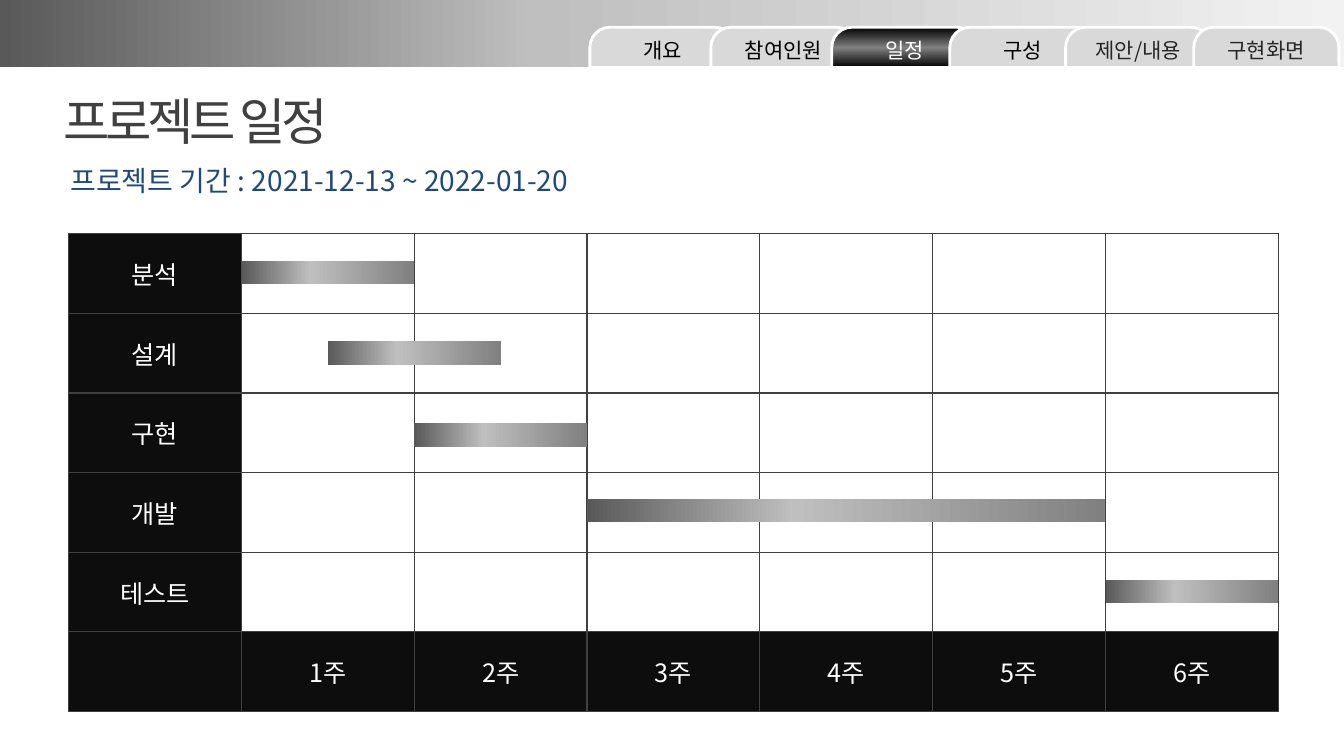
from pptx import Presentation, util as u
from pptx.dml.color import RGBColor
from pptx.enum import shapes, text
from pptx.oxml import parse_xml
from pptx.oxml.ns import nsdecls

COLORS = {
    "white": "FFFFFF", "black": "000000", "cell": "0D0D0D", "ink": "262626",
    "title": "404040", "border": "404040", "period": "1F497D", "tab": "D9D9D9",
    "dark": "595959", "silver": "BFBFBF", "pale": "F2F2F2", "gray": "808080",
}
FONT = "Noto Sans CJK KR"
WIDTH, HEIGHT = u.Inches(13.33), u.Inches(7.5)

# Gradients as (position in percent, colour)
BANNER_STOPS = [(0, "dark"), (40, "silver"), (100, "pale")]
BAR_STOPS = [(0, "dark"), (40, "silver"), (100, "gray")]
ACTIVE_STOPS = [(0, "black"), (51, "gray"), (100, "black")]

# Schedule grid, in percent of the slide
LEFT, TOP, GRID_WIDTH, GRID_HEIGHT = 5.1, 30.93, 90.02, 63.2
TASKS = ["분석", "설계", "구현", "개발", "테스트"]
WEEKS = [f"{week}주" for week in range(1, 7)]
COLUMN = GRID_WIDTH / (len(WEEKS) + 1)
ROW = GRID_HEIGHT / (len(TASKS) + 1)


class ScheduleSlide:
    """Holds the style and the slide; lengths are percent of its size."""

    def __init__(self, presentation):
        self.slide = presentation.slides.add_slide(presentation.slide_layouts[6])
        self.shapes = self.slide.shapes

    def box(self, left, top, width, height):
        return (int(WIDTH * left / 100), int(HEIGHT * top / 100),
                int(WIDTH * width / 100), int(HEIGHT * height / 100))

    def color(self, name):
        return RGBColor.from_string(COLORS[name])

    def add_words(self, frame, words, size, color, align=None, spacing=None):
        frame.vertical_anchor = text.MSO_ANCHOR.MIDDLE
        paragraph = frame.paragraphs[0]
        paragraph.alignment = align
        run = paragraph.add_run()
        run.text = words
        run.font.size = u.Pt(size)
        run.font.color.rgb = self.color(color)
        run.font.name = FONT
        properties = run._r.get_or_add_rPr()
        properties.append(parse_xml(f'<a:ea {nsdecls("a")} typeface="{FONT}"/>'))
        if spacing:
            properties.set("spc", str(spacing * 100))

    def text_box(self, box, words, size, color, wrap=True, spacing=None):
        frame = self.shapes.add_textbox(*self.box(*box)).text_frame
        frame.word_wrap = wrap
        self.add_words(frame, words, size, color, spacing=spacing)

    def paint(self, shape, fill, angle=0):
        """Fill with a colour name or with a list of gradient stops."""
        if isinstance(fill, str):
            shape.fill.solid()
            shape.fill.fore_color.rgb = self.color(fill)
            return
        shape.fill.gradient()
        stops = "".join(
            f'<a:gs pos="{position * 1000}"><a:srgbClr val="{COLORS[name]}"/></a:gs>'
            for position, name in fill)
        gradient = parse_xml(
            f'<a:gradFill {nsdecls("a")} rotWithShape="1"><a:gsLst>{stops}</a:gsLst>'
            f'<a:lin ang="{angle * 60000}" scaled="0"/></a:gradFill>')
        properties = shape._element.spPr
        properties.replace(properties.gradFill, gradient)

    def band(self, box, stops):
        shape = self.shapes.add_shape(shapes.MSO_SHAPE.RECTANGLE, *self.box(*box))
        shape.shadow.inherit = False
        shape.line.fill.background()
        self.paint(shape, stops)

    def tab(self, left, words, color, fill):
        shape = self.shapes.add_shape(
            shapes.MSO_SHAPE.ROUND_2_SAME_RECTANGLE, *self.box(left, 3.6, 10.8, 5.33))
        shape.adjustments[0] = 0.5
        shape.shadow.inherit = False
        shape.line.color.rgb = self.color("white")
        shape.line.width = u.Pt(2)
        self.paint(shape, fill, angle=90)
        shape.text_frame.word_wrap = False
        self.add_words(shape.text_frame, words, 15, color, text.PP_ALIGN.CENTER)

    def border(self, cell):
        properties = cell._tc.get_or_add_tcPr()
        for index, side in enumerate(("lnL", "lnR", "lnT", "lnB")):
            properties.insert(index, parse_xml(
                f'<a:{side} {nsdecls("a")} w="12700"><a:solidFill>'
                f'<a:srgbClr val="{COLORS["border"]}"/></a:solidFill></a:{side}>'))

    def schedule(self):
        rows, columns = len(TASKS) + 1, len(WEEKS) + 1
        table = self.shapes.add_table(
            rows, columns, *self.box(LEFT, TOP, GRID_WIDTH, GRID_HEIGHT)).table
        table.first_row = table.horz_banding = False
        labels = {(row, 0): task for row, task in enumerate(TASKS)}
        labels.update({(rows - 1, week): name for week, name in enumerate(WEEKS, 1)})
        for row in range(rows):
            for column in range(columns):
                cell = table.cell(row, column)
                if column == 0 or row == rows - 1:
                    self.paint(cell, "cell")
                else:
                    cell.fill.background()
                self.border(cell)
                if (row, column) in labels:
                    cell.vertical_anchor = text.MSO_ANCHOR.MIDDLE
                    self.add_words(cell.text_frame, labels[row, column], 18, "white",
                                   text.PP_ALIGN.CENTER)

    def bar(self, start, weeks, row):
        """Place a bar by its first week, its length in weeks and its row."""
        self.band((LEFT + COLUMN * (1 + start), TOP + ROW * row,
                   COLUMN * weeks, 3.07), BAR_STOPS)


def main():
    presentation = Presentation()
    presentation.slide_width, presentation.slide_height = WIDTH, HEIGHT
    page = ScheduleSlide(presentation)

    # Banner and headings
    page.band((0, 0, 100, 8.93), BANNER_STOPS)
    page.text_box((3.98, 11.2, 23.1, 9.47), "프로젝트 일정", 36, "title",
                  wrap=False, spacing=-3)
    page.text_box((4.5, 21.6, 63.47, 4.4),
                  "프로젝트 기간 : 2021-12-13 ~ 2022-01-20", 20, "period")

    # Schedule table and its bars
    page.schedule()
    for start, weeks, row in [(0, 1, 0.34), (0.5, 1, 1.35), (1, 1, 2.38),
                              (2, 3, 3.33), (5, 1, 4.35)]:
        page.bar(start, weeks, row)

    # Navigation tabs
    for left, words, color, fill in [
            (43.89, "개요", "black", "tab"),
            (52.89, "참여인원", "black", "tab"),
            (61.89, "일정", "white", ACTIVE_STOPS),
            (70.67, "구성", "black", "tab"),
            (79.29, "제안/내용", "ink", "tab"),
            (88.82, "구현화면", "ink", "tab")]:
        page.tab(left, words, color, fill)

    presentation.save("out.pptx")


if __name__ == "__main__":
    main()
